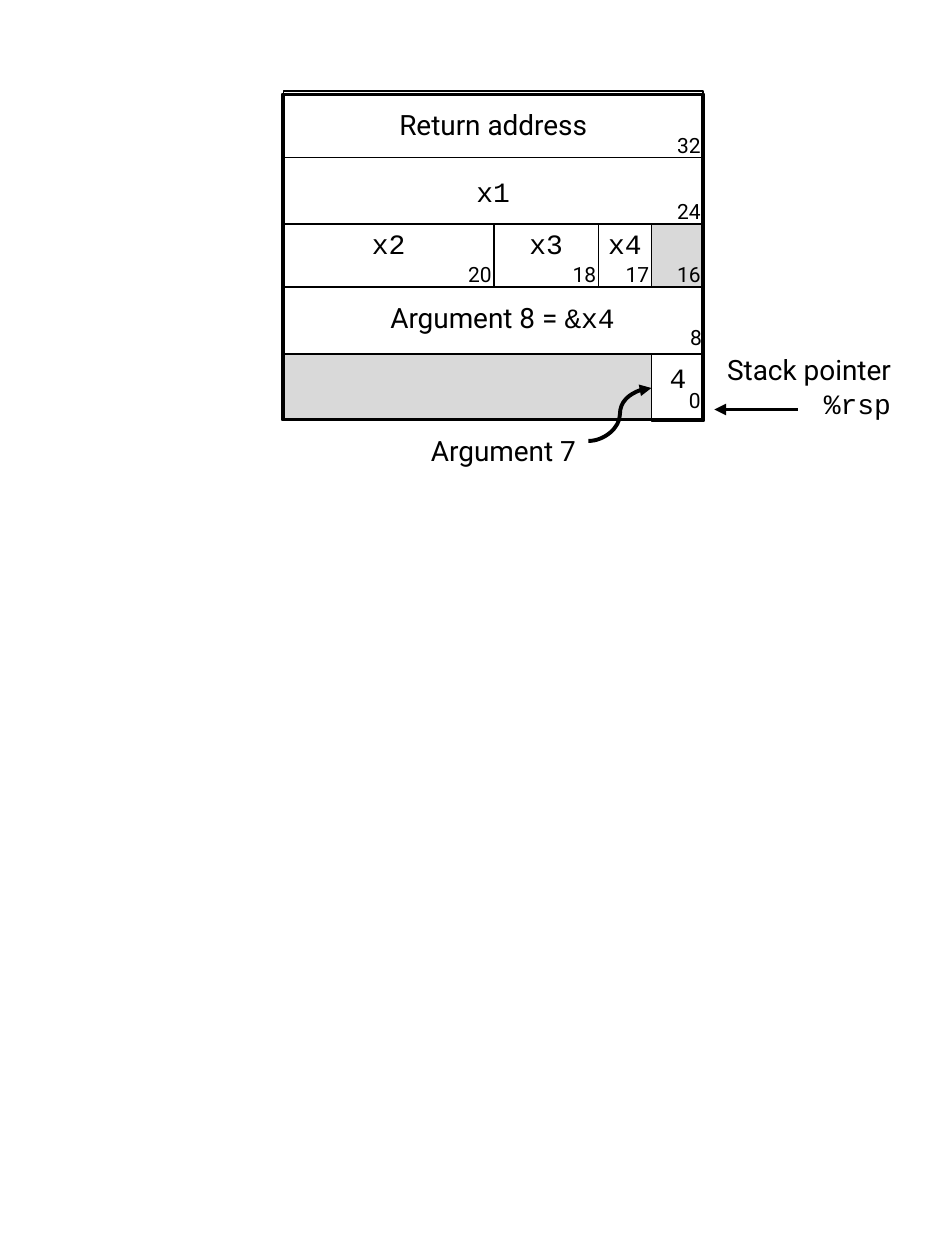
from lxml import etree
from pptx import Presentation
from pptx.dml.color import RGBColor
from pptx.enum import shapes, text
from pptx.oxml import ns
from pptx.util import Inches, Pt

COLORS = {"ink": "000000", "cell": "FFFFFF", "padding": "D9D9D9"}
SANS, MONO = "Roboto", "Courier New"
LEFT, WIDTH, ROW = 2.25, 3.33, 0.53
LEFT_ALIGN, CENTER, RIGHT = text.PP_ALIGN.LEFT, text.PP_ALIGN.CENTER, text.PP_ALIGN.RIGHT
TOP, MIDDLE = text.MSO_ANCHOR.TOP, text.MSO_ANCHOR.MIDDLE


class StackDiagram:
    """Draws memory cells, labels and arrows in one style on a slide."""

    def __init__(self, slide):
        self.slide = slide

    def color(self, name):
        return RGBColor.from_string(COLORS[name])

    def add_lines(self, shape, lines, size, align, anchor, wrap=False, grow=False):
        auto = text.MSO_AUTO_SIZE
        frame = shape.text_frame
        frame_format = {
            "word_wrap": wrap,
            "vertical_anchor": anchor,
            "auto_size": auto.SHAPE_TO_FIT_TEXT if grow else auto.NONE,
        }
        for name, value in frame_format.items():
            setattr(frame, name, value)
        for index, runs in enumerate(lines):
            paragraph = frame.add_paragraph() if index else frame.paragraphs[0]
            paragraph.alignment = align
            for words, font in runs:
                run = paragraph.add_run()
                run.text = words
                for name, value in {"name": font, "size": Pt(size)}.items():
                    setattr(run.font, name, value)
                run.font.color.rgb = self.color("ink")

    def box(self, left, top, width, height, fill=None, line=1):
        shape = self.slide.shapes.add_shape(
            shapes.MSO_SHAPE.RECTANGLE, *map(Inches, (left, top, width, height)))
        shape.shadow.inherit = False
        if fill:
            shape.fill.solid()
            shape.fill.fore_color.rgb = self.color(fill)
        else:
            shape.fill.background()
        shape.line.color.rgb = self.color("ink")
        shape.line.width = Pt(line)
        return shape

    def cell(self, left, top, width, words="", font=MONO, anchor=TOP):
        shape = self.box(left, top, width, ROW, "cell")
        if words:
            self.add_lines(shape, [[(words, font)]], 16, CENTER, anchor)

    def label(self, left, top, width, height, lines, size=16, align=RIGHT, anchor=TOP, **fit):
        shape = self.slide.shapes.add_textbox(*map(Inches, (left, top, width, height)))
        self.add_lines(shape, lines, size, align, anchor, **fit)

    def offset(self, number, right, top, width=0.58):
        self.label(right - width, top, width, 0.3, [[(str(number), SANS)]],
                   size=12, wrap=True, grow=True)

    def arrow(self, kind, start, end):
        connector = self.slide.shapes.add_connector(kind, *map(Inches, start + end))
        connector.line.color.rgb = self.color("ink")
        connector.line.width = Pt(2.25)
        line = connector._element.spPr.find(ns.qn("a:ln"))
        etree.SubElement(line, ns.qn("a:tailEnd"), type="triangle")
        etree.SubElement(connector._element.spPr, ns.qn("a:effectLst"))


def main():
    presentation = Presentation()
    presentation.slide_width, presentation.slide_height = Inches(7.5), Inches(10)
    diagram = StackDiagram(presentation.slides.add_slide(presentation.slide_layouts[6]))

    frame = (LEFT, 0.75, WIDTH, 2.58)
    diagram.box(*frame, fill="padding", line=2.25)
    for left, width, name in ((4.75, 0.42, "x4"), (3.92, 0.83, "x3"), (LEFT, 1.67, "x2")):
        diagram.cell(left, 1.75, width, name)
    diagram.cell(LEFT, 1.25, WIDTH, "x1", anchor=MIDDLE)
    diagram.cell(LEFT, 2.28, WIDTH)
    diagram.cell(5.17, 2.81, 0.42, "4")
    diagram.cell(LEFT, 0.72, WIDTH, "Return address", SANS, MIDDLE)
    diagram.box(*frame, line=2.25)

    for number, right, top in ((32, 5.66, 1), (24, 5.66, 1.53), (16, 5.66, 2.03),
                               (17, 5.25, 2.03), (18, 4.83, 2.03), (20, 4, 2.03)):
        diagram.offset(number, right, top)
    diagram.offset(8, 5.67, 2.53, 0.67)
    diagram.offset(0, 5.66, 3.03, 0.33)

    diagram.label(3, 2.25, 2, ROW, [[("Argument 8 = ", SANS), ("&x4", MONO)]],
                  align=LEFT_ALIGN, anchor=MIDDLE)
    diagram.label(3.17, 3.31, 1.5, ROW, [[("Argument 7", SANS)]], anchor=MIDDLE)
    diagram.label(5.67, 2.75, 1.5, 0.64, [[("Stack pointer", SANS)], [("%rsp", MONO)]], grow=True)

    diagram.arrow(shapes.MSO_CONNECTOR.STRAIGHT, (6.33, 3.25), (5.67, 3.25))
    diagram.arrow(shapes.MSO_CONNECTOR.CURVE, (4.67, 3.5), (5.17, 3.08))
    presentation.save("out.pptx")


if __name__ == "__main__":
    main()
